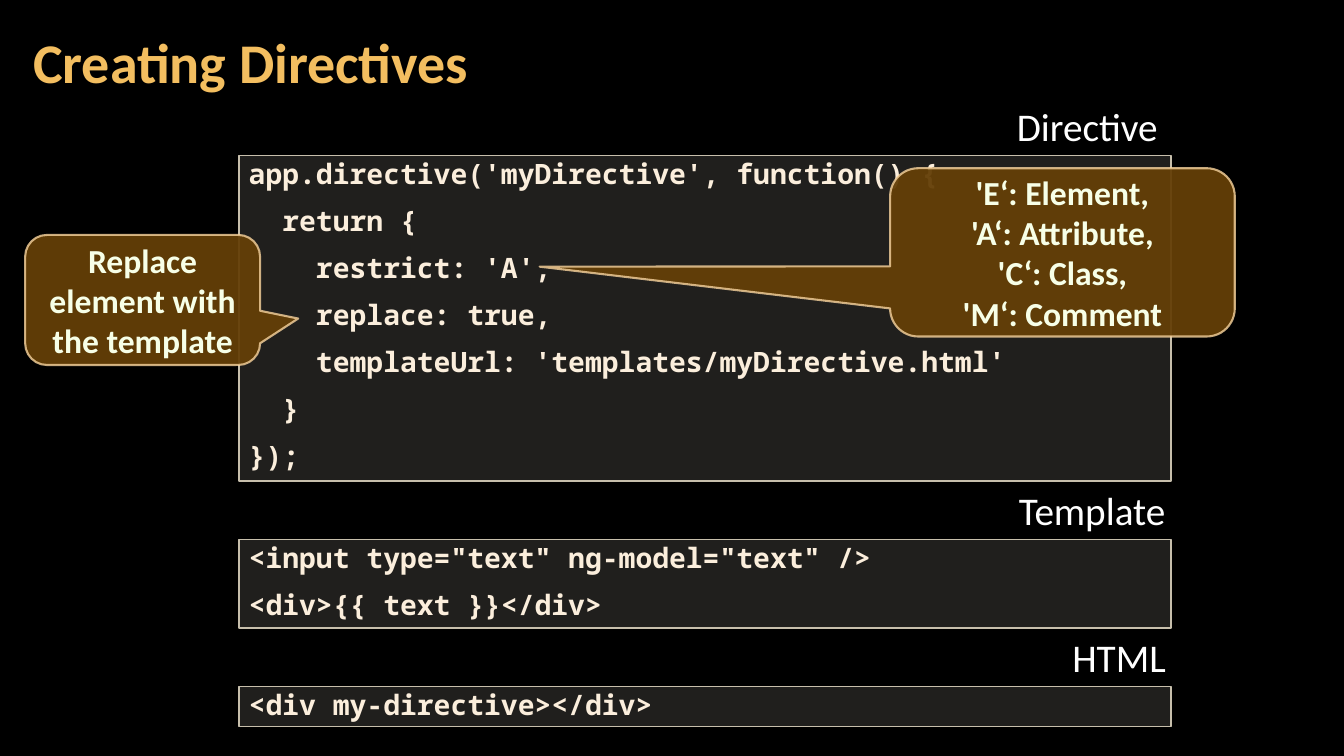
import pptx
import pptx.util
import pptx.dml.color
import pptx.enum.shapes
import pptx.enum.text
import pptx.oxml

Pt = pptx.util.Pt
Kind = pptx.enum.shapes.MSO_SHAPE
Align = pptx.enum.text.PP_ALIGN
Anchor = pptx.enum.text.MSO_ANCHOR
Fit = pptx.enum.text.MSO_AUTO_SIZE


def paint(part, tint, alpha=100):
    """Give a fill a solid colour, with alpha in percent."""
    part.solid()
    part.fore_color.rgb = pptx.dml.color.RGBColor.from_string(tint)
    if alpha < 100:
        clear = pptx.oxml.parse_xml(
            '<a:alpha xmlns:a="http://schemas.openxmlformats.org/drawingml/2006/main"'
            f' val="{alpha * 1000}"/>')
        part._xPr.find(".//{*}srgbClr").append(clear)


def write(shape, text, size=24, tint="FFFFFF", font="Calibri", bold=True,
          align=Align.LEFT, anchor=Anchor.TOP, fit=Fit.NONE, pitch=None, gap=None):
    """Fill a shape with text, one paragraph a line."""
    frame = shape.text_frame
    frame.text = text
    frame.word_wrap = True
    frame.vertical_anchor = anchor
    frame.auto_size = fit
    for para in frame.paragraphs:
        para.alignment = align
        para.line_spacing = pitch
        para.space_before = gap
        for run in para.runs:
            run.font.name = font
            run.font.size = Pt(size)
            run.font.bold = bold
            paint(run.font.fill, tint)


# Deck and black ground
deck = pptx.Presentation()
deck.slide_width, deck.slide_height = Pt(960), Pt(540)
slide = deck.slides.add_slide(deck.slide_layouts[5])
paint(slide.background.fill, "000000")

# Title
title = slide.shapes.title
title.left, title.top, title.width, title.height = Pt(15), Pt(3), Pt(754), Pt(87)
write(title, "Creating Directives", size=40, tint="F3BE60",
      anchor=Anchor.MIDDLE, pitch=0.9)
frame = title.text_frame
frame.margin_left = frame.margin_right = Pt(8.64)
frame.margin_top = frame.margin_bottom = Pt(2.88)

# Code panels, each with a label above its right end
script = """app.directive('myDirective', function() {
  return {
    restrict: 'A',
    replace: true,
    templateUrl: 'templates/myDirective.html'
  }
});"""
markup = """<input type="text" ng-model="text" />
<div>{{ text }}</div>"""
panels = [
    # label, left, width, panel top, height, code
    ("Directive", 719.3, 120, 110.9, 232.6, script),
    ("Template", 720.7, 120, 385.2, 63.4, markup),
    ("HTML", 758.9, 82, 490.3, 28.8, "<div my-directive></div>"),
]
for name, left, width, top, height, code in panels:
    panel = slide.shapes.add_shape(
        Kind.RECTANGLE, Pt(170.6), Pt(top), Pt(666), Pt(height))
    panel.shadow.inherit = False
    paint(panel.fill, "D9D5C7", 15)
    paint(panel.line.fill, "C7BFAC")
    panel.line.width = Pt(1)
    write(panel, code, size=20, tint="FBEEDC", font="Noto Sans Mono",
          fit=Fit.SHAPE_TO_FIT_TEXT, pitch=0.9, gap=Pt(12))

    label = slide.shapes.add_textbox(Pt(left), Pt(top - 41.5), Pt(width), Pt(41))
    write(label, name, size=28, bold=False, fit=Fit.SHAPE_TO_FIT_TEXT)

# Callouts
kinds = "'E‘: Element,\n'A‘: Attribute,\n'C‘: Class,\n'M‘: Comment"
notes = [
    # left, top, width, height, tip, text
    (635.8, 120.2, 246.2, 120.2, (-1.517, 0.085), kinds),
    (18, 167.8, 167.8, 92.9, (0.662, 0.143), "Replace element with the template"),
]
for left, top, width, height, tip, text in notes:
    note = slide.shapes.add_shape(
        Kind.ROUNDED_RECTANGULAR_CALLOUT, Pt(left), Pt(top), Pt(width), Pt(height))
    note.shadow.inherit = False
    note.adjustments[0], note.adjustments[1] = tip
    paint(note.fill, "643F07", 95)
    paint(note.line.fill, "F8D49E", 80)
    note.line.width = Pt(1.5)
    write(note, text, tint="F7FFE7", align=Align.CENTER, anchor=Anchor.MIDDLE)

deck.save("out.pptx")
